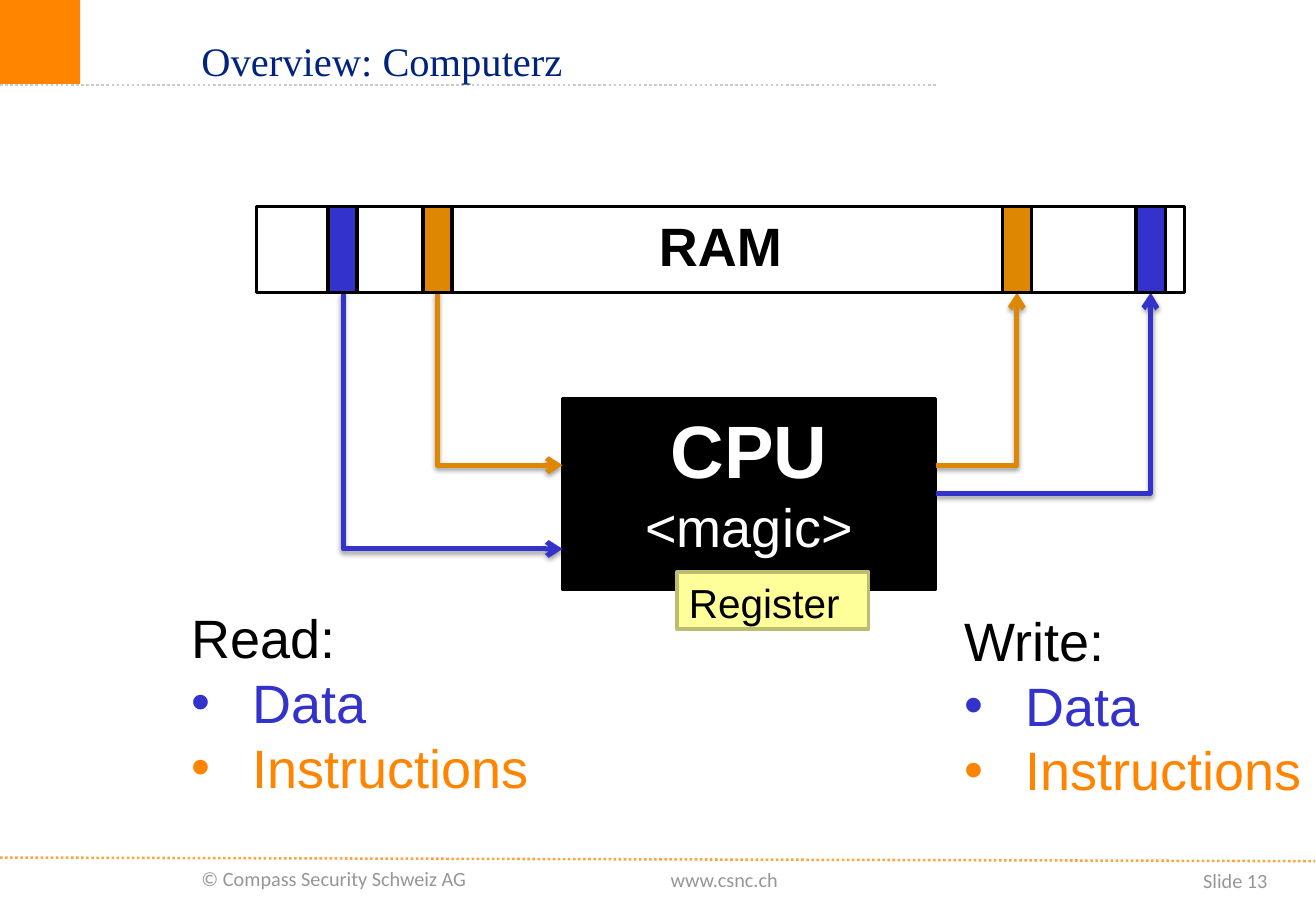
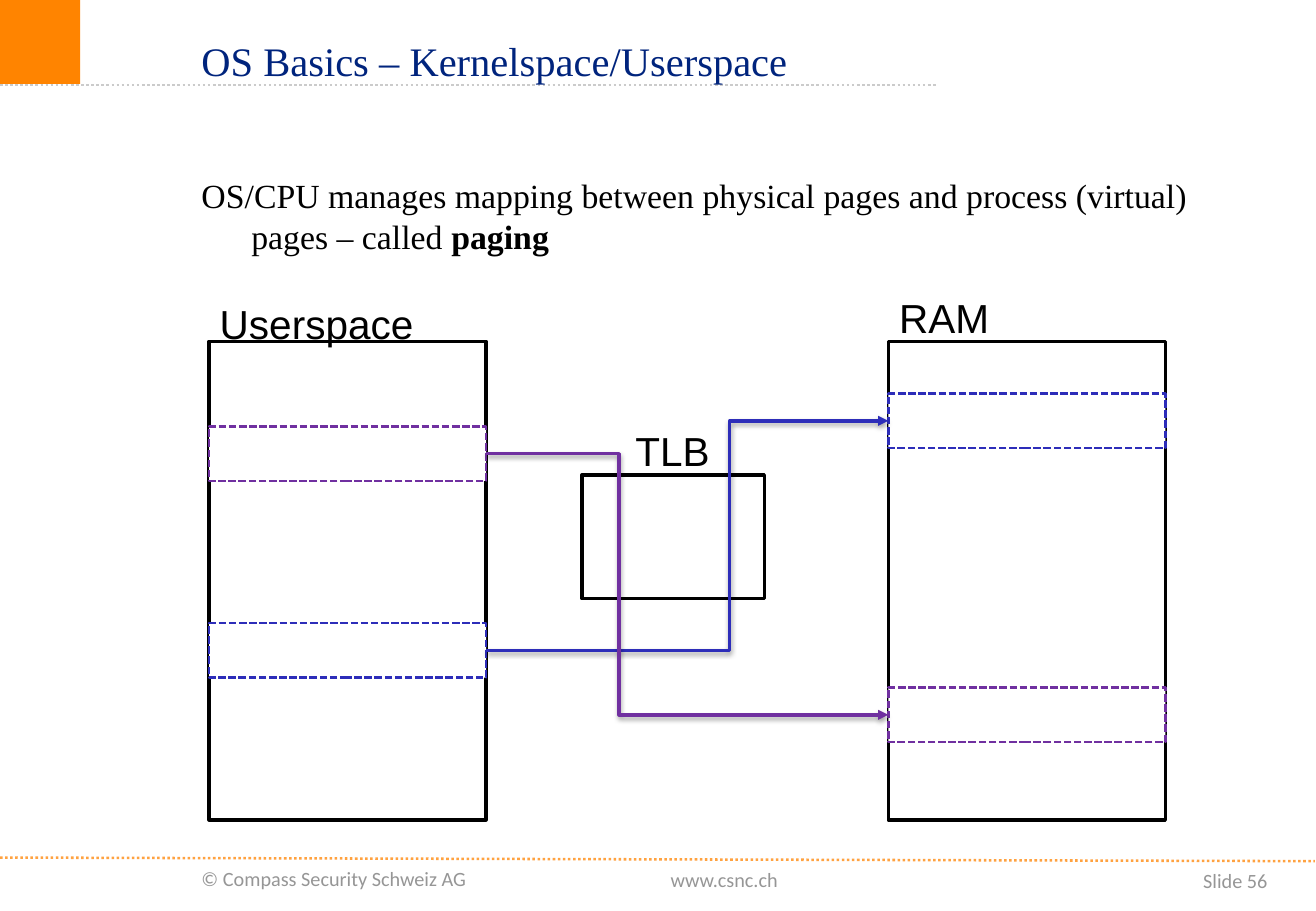
"""Build two slides on computer architecture and memory paging."""
from dataclasses import dataclass

import lxml.etree
import pptx
import pptx.dml.color
import pptx.enum.dml
import pptx.enum.shapes
import pptx.enum.text
import pptx.oxml
import pptx.oxml.ns
import pptx.util

Inches = pptx.util.Inches
Pt = pptx.util.Pt
Align = pptx.enum.text.PP_ALIGN
Anchor = pptx.enum.text.MSO_ANCHOR
Dash = pptx.enum.dml.MSO_LINE
Connector = pptx.enum.shapes.MSO_CONNECTOR
qn = pptx.oxml.ns.qn


@dataclass(frozen=True)
class Theme:
    """Colours, fonts and type sizes of the deck."""
    orange: str = "FF8400"
    navy: str = "00247D"
    grey: str = "969696"
    rule: str = "CBCBCB"
    black: str = "000000"
    white: str = "FFFFFF"
    data: str = "3333CC"
    instruction: str = "DE8703"
    register: str = "FFFF99"
    register_edge: str = "BDBD71"
    page_blue: str = "2D2DB9"
    page_purple: str = "7030A0"
    serif: str = "Times New Roman"
    sans: str = "Arial"
    footer_font: str = "Calibri"
    footer_size: int = 12
    body_size: int = 20
    label_size: int = 24
    large_size: int = 32
    huge_size: int = 44


THEME = Theme()


@dataclass(frozen=True)
class Line:
    """One paragraph of text and its style."""
    text: str
    size: int = THEME.label_size
    color: str = THEME.black
    font: str = THEME.sans
    bold: bool = False
    align: Align = Align.LEFT
    bullet: bool = False


def rgb(color):
    """Turn a hex string into a colour value."""
    return pptx.dml.color.RGBColor.from_string(color)


def set_indent(paragraph, indent):
    """Give a paragraph a hanging indent."""
    properties = paragraph._p.get_or_add_pPr()
    properties.set("marL", str(Inches(indent)))
    properties.set("indent", str(-Inches(indent)))
    return properties


def add_bullet(paragraph, color):
    """Give a paragraph a coloured bullet with a hanging indent."""
    properties = set_indent(paragraph, 0.5)
    bullet_color = lxml.etree.SubElement(properties, qn("a:buClr"))
    lxml.etree.SubElement(bullet_color, qn("a:srgbClr"), val=color)
    lxml.etree.SubElement(properties, qn("a:buFont"), typeface=THEME.sans)
    lxml.etree.SubElement(properties, qn("a:buChar"), char="•")


def write(frame, lines):
    """Fill a text frame with styled lines."""
    for index, line in enumerate(lines):
        paragraph = frame.add_paragraph() if index else frame.paragraphs[0]
        paragraph.text = line.text
        paragraph.alignment = line.align
        if line.bullet:
            add_bullet(paragraph, line.color)
        paragraph.font.size = Pt(line.size)
        paragraph.font.name = line.font
        paragraph.font.bold = line.bold
        paragraph.font.color.rgb = rgb(line.color)


def add_text(slide, box, *lines, wrap=False, anchor=Anchor.TOP):
    """Add a text box and return its frame."""
    frame = slide.shapes.add_textbox(*map(Inches, box)).text_frame
    frame.word_wrap = wrap
    frame.vertical_anchor = anchor
    write(frame, lines)
    return frame


def add_rect(slide, box, fill, edge=None, *lines, weight=2, dash=None):
    """Add a rectangle with optional outline and text."""
    rect = slide.shapes.add_shape(
        pptx.enum.shapes.MSO_SHAPE.RECTANGLE, *map(Inches, box))
    rect.shadow.inherit = False
    rect.fill.solid()
    rect.fill.fore_color.rgb = rgb(fill)
    if edge:
        rect.line.color.rgb = rgb(edge)
        rect.line.width = Pt(weight)
        rect.line.dash_style = dash
    else:
        rect.line.fill.background()
    rect.text_frame.vertical_anchor = Anchor.TOP
    write(rect.text_frame, lines)


def add_line(slide, kind, start, end, color, weight):
    """Add a connector with an empty effect list and return both."""
    line = slide.shapes.add_connector(kind, *map(Inches, (*start, *end)))
    line.line.color.rgb = rgb(color)
    line.line.width = Pt(weight)
    effects = lxml.etree.SubElement(line._element.spPr, qn("a:effectLst"))
    return line, effects


def add_dotted_rule(slide, start, end, color, opacity=100):
    """Add a dotted rule."""
    rule, _ = add_line(slide, Connector.STRAIGHT, start, end, color, 1.5)
    rule.line.dash_style = Dash.ROUND_DOT
    if opacity < 100:
        tint = rule._element.spPr.find(".//" + qn("a:srgbClr"))
        lxml.etree.SubElement(tint, qn("a:alpha"), val=str(opacity * 1000))


def add_elbow(slide, start, end, color, weight, bend, head, at_start=False):
    """Add a softly shadowed elbow arrow that turns at the bend fraction."""
    elbow, effects = add_line(
        slide, Connector.ELBOW, start, end, color, weight)
    guides = elbow._element.spPr.find(qn("a:prstGeom")).get_or_add_avLst()
    lxml.etree.SubElement(guides, qn("a:gd"), name="adj1",
                          fmla=f"val {round(bend * 100000)}")
    side = "a:headEnd" if at_start else "a:tailEnd"
    lxml.etree.SubElement(elbow.line._get_or_add_ln(), qn(side), type=head)
    shadow = lxml.etree.SubElement(
        effects, qn("a:outerShdw"), blurRad=str(Pt(3.1)), dist=str(Pt(1.6)),
        dir="5400000", rotWithShape="0")
    tint = lxml.etree.SubElement(shadow, qn("a:srgbClr"), val=THEME.black)
    lxml.etree.SubElement(tint, qn("a:alpha"), val="38000")


def add_slide(deck, title, number):
    """Add a slide with the shared header and footer."""
    slide = deck.slides.add_slide(deck.slide_layouts[6])
    add_rect(slide, (0, 0, 0.66, 0.69), THEME.orange)
    add_dotted_rule(slide, (0, 7.06), (10.82, 7.09), THEME.orange, 75)
    add_dotted_rule(slide, (0, 0.7), (7.71, 0.7), THEME.rule)
    for text, box, align in (
            ("© Compass Security Schweiz AG", (1.56, 7.08, 2.66, 0.3),
             Align.LEFT),
            ("www.csnc.ch", (5.42, 7.09, 1.15, 0.3), Align.LEFT),
            (f"Slide {number}", (9.28, 7.1, 1.25, 0.34), Align.RIGHT)):
        add_text(slide, box,
                 Line(text, THEME.footer_size, THEME.grey, THEME.footer_font,
                      align=align), wrap=align == Align.RIGHT)
    add_text(slide, (1.56, 0, 6.06, 1),
             Line(title, THEME.label_size, THEME.navy, THEME.serif),
             wrap=True, anchor=Anchor.MIDDLE)
    return slide


def build_computer(deck):
    """Build the slide on CPU and RAM."""
    slide = add_slide(deck, "Overview: Computerz", 13)
    ram_top, ram_height, cell_width = 1.7, 0.71, 0.24
    ram_bottom = ram_top + ram_height
    cpu_left, cpu_width = 4.63, 3.07
    cpu_right = cpu_left + cpu_width
    add_rect(slide, (2.11, ram_top, 7.64, ram_height), THEME.white,
             THEME.black, Line("RAM", THEME.large_size, bold=True,
                               align=Align.CENTER))
    add_rect(slide, (cpu_left, 3.28, cpu_width, 1.57), THEME.black,
             THEME.black,
             Line("CPU", THEME.huge_size, THEME.white, bold=True,
                  align=Align.CENTER),
             Line("<magic>", THEME.large_size, THEME.white,
                  align=Align.CENTER))
    for cell_left, port_y, color, reads in (
            (2.7, 4.52, THEME.data, True),
            (3.48, 3.83, THEME.instruction, True),
            (8.25, 3.83, THEME.instruction, False),
            (9.35, 4.06, THEME.data, False)):
        port = (cpu_left if reads else cpu_right, port_y)
        cell = (cell_left + cell_width / 2, ram_bottom)
        add_elbow(slide, port, cell, color, 3, 0.998, "arrow", reads)
        add_rect(slide, (cell_left, ram_top, cell_width, ram_height), color,
                 THEME.black)
    for heading, left, top in (("Read:", 1.48, 4.93), ("Write:", 7.84, 4.95)):
        add_text(slide, (left, top, 3, 1.72),
                 Line(heading, THEME.large_size),
                 Line("Data", THEME.large_size, THEME.data, bullet=True),
                 Line("Instructions", THEME.large_size, THEME.orange,
                      bullet=True))
    add_rect(slide, (5.57, 4.71, 1.58, 0.47), THEME.register,
             THEME.register_edge, Line("Register"))


def build_paging(deck):
    """Build the slide on mapping virtual to physical pages."""
    slide = add_slide(deck, "OS Basics – Kernelspace/Userspace", 56)
    user_left, ram_left, space_width, page_height = 1.72, 7.31, 2.28, 0.45
    user_right = user_left + space_width
    statement = add_text(
        slide, (1.56, 1.39, 9, 5.5),
        Line("OS/CPU manages mapping between physical pages and process "
             "(virtual) pages – called ", THEME.body_size, font=THEME.serif),
        wrap=True).paragraphs[0]
    set_indent(statement, 0.41)
    term = statement.add_run()
    term.text = "paging"
    term.font.bold = True
    for box in ((user_left, 2.81, space_width, 3.94),
                (ram_left, 2.81, space_width, 3.94),
                (4.79, 3.91, 1.5, 1.02)):
        add_rect(slide, box, THEME.white, THEME.black)
    for label, box in (("Userspace", (1.71, 2.41, 1.81, 0.5)),
                       ("RAM", (7.3, 2.36, 0.95, 0.5)),
                       ("TLB", (5.13, 3.46, 0.82, 0.5))):
        add_text(slide, box, Line(label))
    for virtual_top, physical_top, color, bend in (
            (5.13, 3.24, THEME.page_blue, 0.606),
            (3.51, 5.66, THEME.page_purple, 0.331)):
        for left, top in ((user_left, virtual_top), (ram_left, physical_top)):
            add_rect(slide, (left, top, space_width, page_height),
                     THEME.white, color, weight=1.5, dash=Dash.SQUARE_DOT)
        add_elbow(slide, (user_right, virtual_top + page_height / 2),
                  (ram_left, physical_top + page_height / 2), color, 2, bend,
                  "triangle")


def main():
    """Build and save the deck."""
    deck = pptx.Presentation()
    deck.slide_width, deck.slide_height = Inches(10.83), Inches(7.5)
    build_computer(deck)
    build_paging(deck)
    deck.save("out.pptx")


if __name__ == "__main__":
    main()
